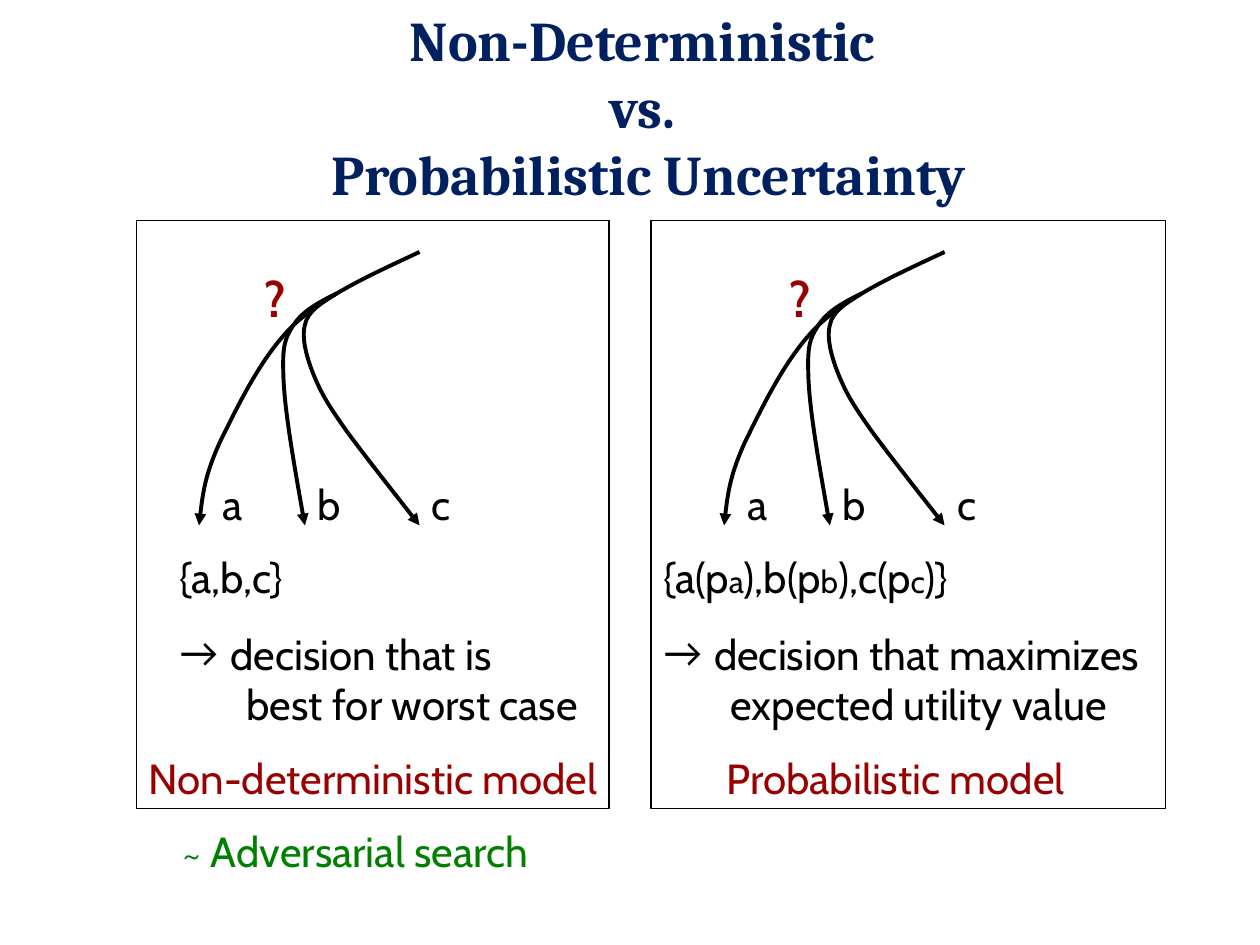
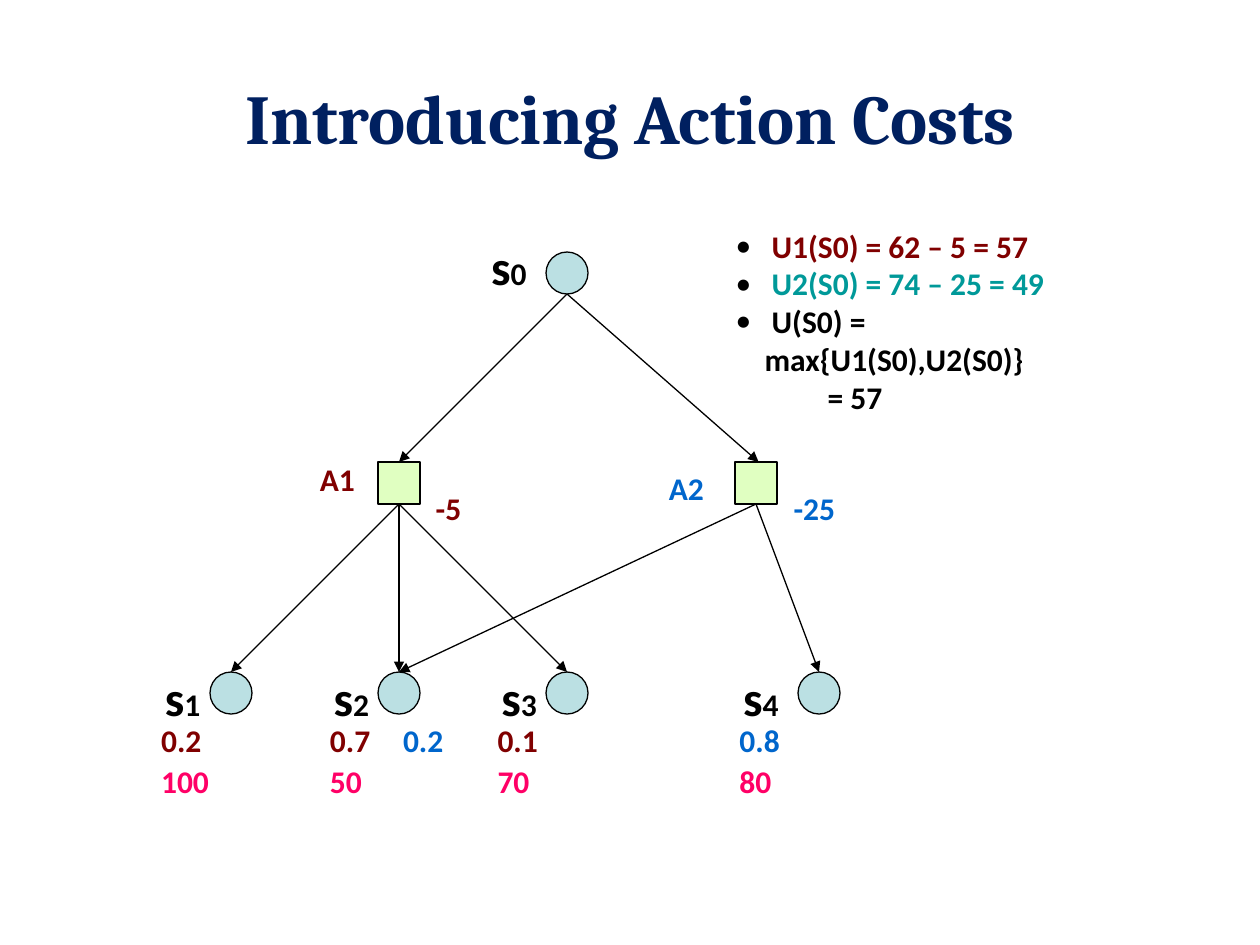
"""Build two slides on uncertainty models and action costs."""
from dataclasses import dataclass

from lxml.etree import SubElement
from pptx import Presentation
from pptx.dml.color import RGBColor as Rgb
from pptx.enum.shapes import MSO_CONNECTOR as Conn, MSO_SHAPE as Kind
from pptx.enum.text import MSO_ANCHOR as Anchor, MSO_AUTO_SIZE as Auto, PP_ALIGN as Align
from pptx.oxml.ns import qn
from pptx.util import Inches, Length, Pt

HUES = {
    "navy": "002060", "black": "000000", "red": "990000", "green": "008000",
    "maroon": "800000", "blue": "0066CC", "pink": "FF0066", "teal": "009999",
    "sky": "BBE0E3", "lime": "E0FFC1",
}
GRID = 48
NODE = 1 / 3
HALF = NODE / 2
Point = tuple[float, float]


@dataclass
class Piece:
    text: str
    size: float = 24
    hue: str = "black"
    bold: bool = False


@dataclass
class Para:
    runs: list[Piece]
    margin: float = 0
    bullet: str = ""
    before: float = 0


@dataclass
class Panel:
    left: float
    width: float
    shift: float
    text_x: float
    text_w: float
    choice: list[Piece]
    lines: tuple[str, str]
    model: str
    model_x: float
    model_w: float


@dataclass
class State:
    mid: float
    label_x: float
    name: str
    prob: str
    hue: str
    value: str


@dataclass
class Action:
    mid: float
    tip: float
    name: str
    name_x: float
    name_y: float
    cost: str
    cost_x: float
    hue: str
    goals: list[int]


BRANCHES = [
    [(3.33, 2), (2.97, 2.17), (2.6, 2.33), (2.33, 2.58),
     (2.07, 2.83), (1.88, 3.24), (1.75, 3.5), (1.63, 3.76), (1.6, 3.97), (1.58, 4.17)],
    [(2.67, 2.33), (2.53, 2.4), (2.4, 2.47), (2.33, 2.58),
     (2.26, 2.69), (2.24, 2.74), (2.25, 3), (2.26, 3.26), (2.34, 3.72), (2.42, 4.17)],
    [(2.67, 2.33), (2.56, 2.4), (2.44, 2.47), (2.42, 2.58),
     (2.39, 2.69), (2.44, 2.86), (2.5, 3), (2.56, 3.14), (2.61, 3.22), (2.75, 3.42),
     (2.89, 3.61), (3.11, 3.89), (3.33, 4.17)],
]
PANELS = [
    Panel(1.08, 3.75, 0, 1.33, 3.5, [Piece("{a,b,c}")],
          ("decision that is", "best for worst case"),
          "Non-deterministic model", 1.08, 4.08),
    Panel(5.17, 4.08, 25 / 6, 5.17, 4.33,
          [Piece("{a(p"), Piece("a", 18), Piece("),b(p"), Piece("b", 18),
           Piece("),c(p"), Piece("c", 18), Piece(")}")],
          ("decision that maximizes", "expected utility value"),
          "Probabilistic model", 5.67, 3.25),
]
STATES = [
    State(1.83, 1.21, "1", "0.2", "maroon", "100"),
    State(3.17, 2.55, "2", "0.7", "maroon", "50"),
    State(4.5, 3.88, "3", "0.1", "maroon", "70"),
    State(6.5, 5.8, "4", "0.8", "blue", "80"),
]
ACTIONS = [
    Action(3.17, 3.17, "A1", 2.44, 3.6, "-5", 3.36, "maroon", [0, 1, 2]),
    Action(6, 6.02, "A2", 5.21, 3.67, "-25", 6.2, "blue", [1, 3]),
]


def color(name: str) -> Rgb:
    """Give the colour with this name."""
    return Rgb.from_string(HUES[name])


def snap(value: float) -> Length:
    """Give the nearest length on the drawing grid."""
    return Inches(round(value * GRID) / GRID)


def style(run, font: str, size: float, hue: str, bold: bool) -> None:
    """Format one run."""
    run.font.name, run.font.size, run.font.bold = font, Pt(size), bold
    run.font.color.rgb = color(hue)


def mark(para, item: Para) -> None:
    """Indent a paragraph and give it a bullet if it has one."""
    props = para._p.get_or_add_pPr()
    props.set("marL", str(Inches(item.margin)))
    props.set("indent", str(-Inches(item.margin)) if item.bullet else "0")
    if item.bullet:
        tint = SubElement(props, qn("a:buClr"))
        SubElement(tint, qn("a:srgbClr"), val=HUES["black"])
        SubElement(props, qn("a:buFont"), typeface="Calibri")
        SubElement(props, qn("a:buChar"), char=item.bullet)


def write(slide, x: float, y: float, w: float, h: float, paras: list[Para],
          font: str = "Cabin", inset: float = 0.1) -> None:
    """Add a text box of formatted paragraphs."""
    frame = slide.shapes.add_textbox(Inches(x), Inches(y), Inches(w), Inches(h)).text_frame
    frame.word_wrap = True
    frame.margin_right = Inches(inset)
    for i, item in enumerate(paras):
        para = frame.add_paragraph() if i else frame.paragraphs[0]
        if item.before:
            para.space_before = Pt(item.before)
        mark(para, item)
        for piece in item.runs:
            run = para.add_run()
            run.text = piece.text
            style(run, font, piece.size, piece.hue, piece.bold)


def label(slide, x: float, y: float, w: float, text: str, hue: str) -> None:
    """Add a small bold label to the decision tree."""
    write(slide, x, y, w, 0.4, [Para([Piece(text, 18, hue, True)])], "Calibri", 0)


def name_state(slide, x: float, y: float, digit: str) -> None:
    """Add the name of a state with its small number."""
    runs = [Piece("s", 28, bold=True), Piece(digit, 18, bold=True)]
    write(slide, x, y, 0.48, 0.57, [Para(runs)], "Calibri", 0)


def outline(shape, width: float, arrow: bool = False) -> None:
    """Draw a black line, with an arrowhead at its end if wanted."""
    shape.line.color.rgb = color("black")
    shape.line.width = Pt(width)
    if arrow:
        SubElement(shape.element.spPr.find(qn("a:ln")), qn("a:tailEnd"), type="triangle")


def box(slide, kind: Kind, x: float, y: float, w: float, h: float, fill: str = "") -> None:
    """Add an outlined preset shape."""
    shape = slide.shapes.add_shape(kind, *map(snap, (x, y, w, h)))
    shape.shadow.inherit = False
    if fill:
        shape.fill.solid()
        shape.fill.fore_color.rgb = color(fill)
    else:
        shape.fill.background()
    outline(shape, 0.75)


def link(slide, start: Point, end: Point) -> None:
    """Add a straight arrow."""
    line = slide.shapes.add_connector(Conn.STRAIGHT, *map(snap, start + end))
    outline(line, 0.75, True)
    SubElement(line.element.spPr, qn("a:effectLst"))


def curve(slide, knots: list[Point], shift: float) -> None:
    """Add a curved arrow through a chain of cubic pieces."""
    dots = [(Inches(x + shift), Inches(y)) for x, y in knots]
    pen = slide.shapes.build_freeform(*dots[0])
    pen.add_line_segments(dots[1:], close=False)
    shape = pen.convert_to_shape()
    trace = next(shape.element.iter(qn("a:path")))
    steps = trace.findall(qn("a:lnTo"))
    for i in range(0, len(steps), 3):
        bend = SubElement(trace, qn("a:cubicBezTo"))
        for step in steps[i:i + 3]:
            bend.append(step[0])
            trace.remove(step)
    shape.shadow.inherit = False
    shape.fill.background()
    outline(shape, 2.25, True)


def add_slide(deck, text: str, size: float, y: float, w: float, h: float):
    """Add a slide with a styled title."""
    slide = deck.slides.add_slide(deck.slide_layouts[5])
    title = slide.shapes.title
    title.left, title.top, title.width, title.height = map(Inches, (0.5, y, w, h))
    frame = title.text_frame
    frame.text = text
    frame.auto_size, frame.vertical_anchor = Auto.NONE, Anchor.MIDDLE
    para = frame.paragraphs[0]
    para.alignment = Align.CENTER
    for run in para.runs:
        style(run, "Cambria", size, "navy", True)
    return slide


def draw_panel(slide, panel: Panel) -> None:
    """Draw one model with its branches and its decision rule."""
    for knots in BRANCHES:
        curve(slide, knots, panel.shift)
    write(slide, 2 + panel.shift, 2.08, 0.42, 0.57, [Para([Piece("?", 28, "red", True)])])
    for x, w, name in ((2.42, 0.64, "b"), (1.67, 0.64, "a"), (3.33, 0.39, "c")):
        write(slide, x + panel.shift, 3.75, w, 0.5, [Para([Piece(name)])])
    first, second = panel.lines
    write(slide, panel.text_x, 4.33, panel.text_w, 1.91, [
        Para(panel.choice),
        Para([Piece(first)], 0.4, "→", 15),
        Para([Piece(second)], 0.53),
    ])
    write(slide, panel.model_x, 5.92, panel.model_w, 0.5, [Para([Piece(panel.model, hue="red")])])
    box(slide, Kind.RECTANGLE, panel.left, 1.75, panel.width, 4.67)


def draw_tree(slide) -> None:
    """Draw the root, the actions and the states."""
    root = 4.5
    box(slide, Kind.OVAL, root - HALF, 2, NODE, NODE, "sky")
    name_state(slide, 3.8, 1.83, "0")
    for act in ACTIONS:
        box(slide, Kind.RECTANGLE, act.mid - HALF, 3.67, NODE, NODE, "lime")
        link(slide, (root, 2.33), (act.tip, 3.67))
        label(slide, act.name_x, act.name_y, 0.48, act.name, act.hue)
        label(slide, act.cost_x, 3.83, 0.14 + 0.13 * len(act.cost), act.cost, act.hue)
        for goal in act.goals:
            link(slide, (act.mid, 4), (STATES[goal].mid, 5.33))
    for state in STATES:
        box(slide, Kind.OVAL, state.mid - HALF, 5.33, NODE, NODE, "sky")
        name_state(slide, state.label_x, 5.25, state.name)
        label(slide, state.label_x - 0.03, 5.67, 0.52, state.prob, state.hue)
        label(slide, state.label_x - 0.03, 6, 0.19 + 0.13 * len(state.value), state.value, "pink")
    label(slide, 3.1, 5.67, 0.52, "0.2", "blue")


def main() -> None:
    """Build and save the deck."""
    deck = Presentation()
    deck.slide_width, deck.slide_height = Inches(10), Inches(7.5)

    models = add_slide(deck, "Non-Deterministic \vvs. \vProbabilistic Uncertainty",
                       32, 0.13, 9.3, 1.42)
    for panel in PANELS:
        draw_panel(models, panel)
    write(models, 1.35, 6.5, 3.36, 0.5, [Para([Piece("~ Adversarial search", hue="green")])])

    costs = add_slide(deck, "Introducing Action Costs", 40, 0.3, 9, 1.25)
    draw_tree(costs)
    sums = [(" U1(S0) = 62 – 5 = 57", "maroon"), (" U2(S0) = 74 – 25 = 49", "teal"),
            (" U(S0) = max{U1(S0),U2(S0)}", "black")]
    paras = [Para([Piece(text, 18, hue, True)], 0.23, "•") for text, hue in sums]
    paras.append(Para([Piece("= 57", 18, bold=True)], 0.73))
    write(costs, 5.74, 1.75, 3.3, 1.3, paras, "Calibri")

    deck.save("out.pptx")


if __name__ == "__main__":
    main()
